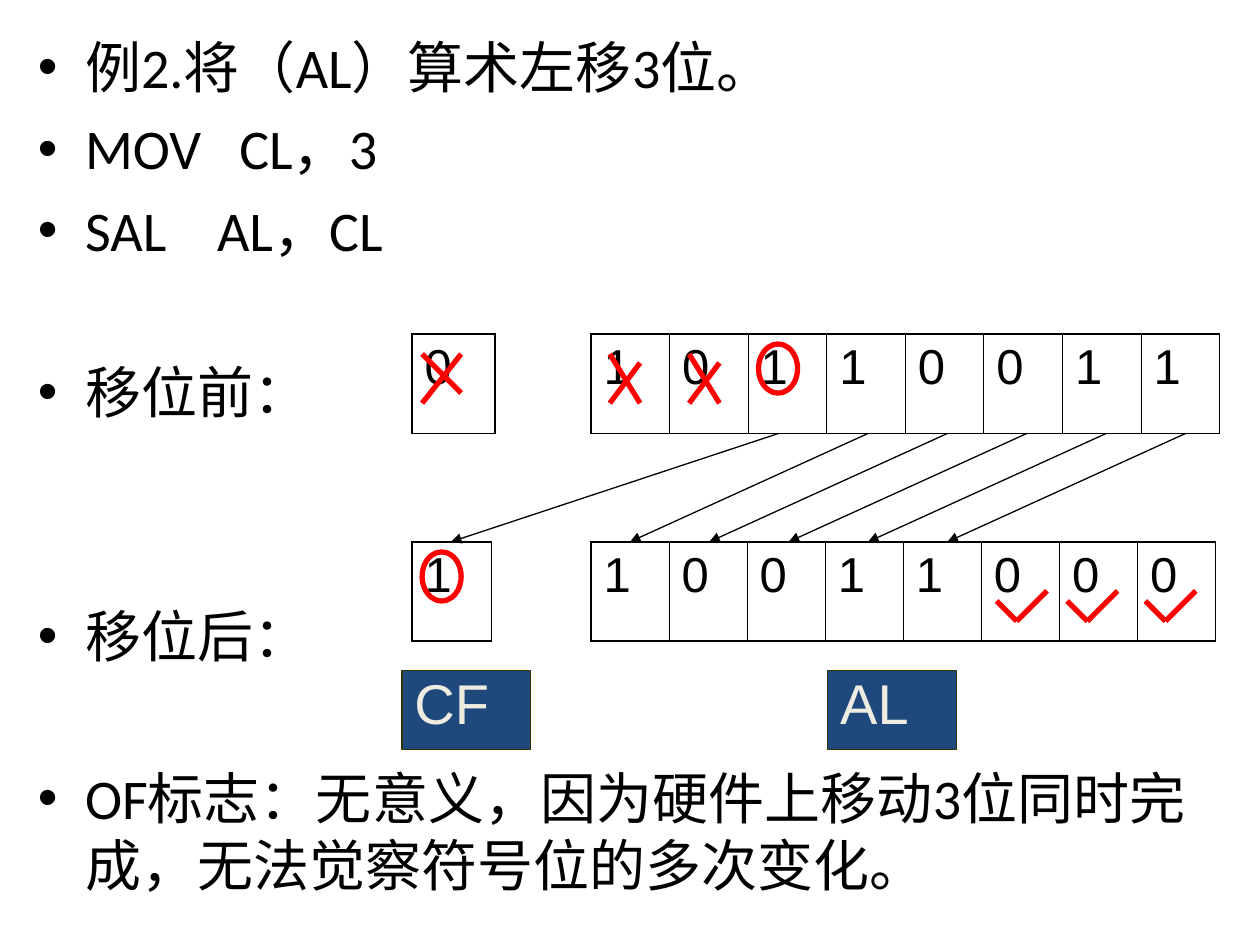
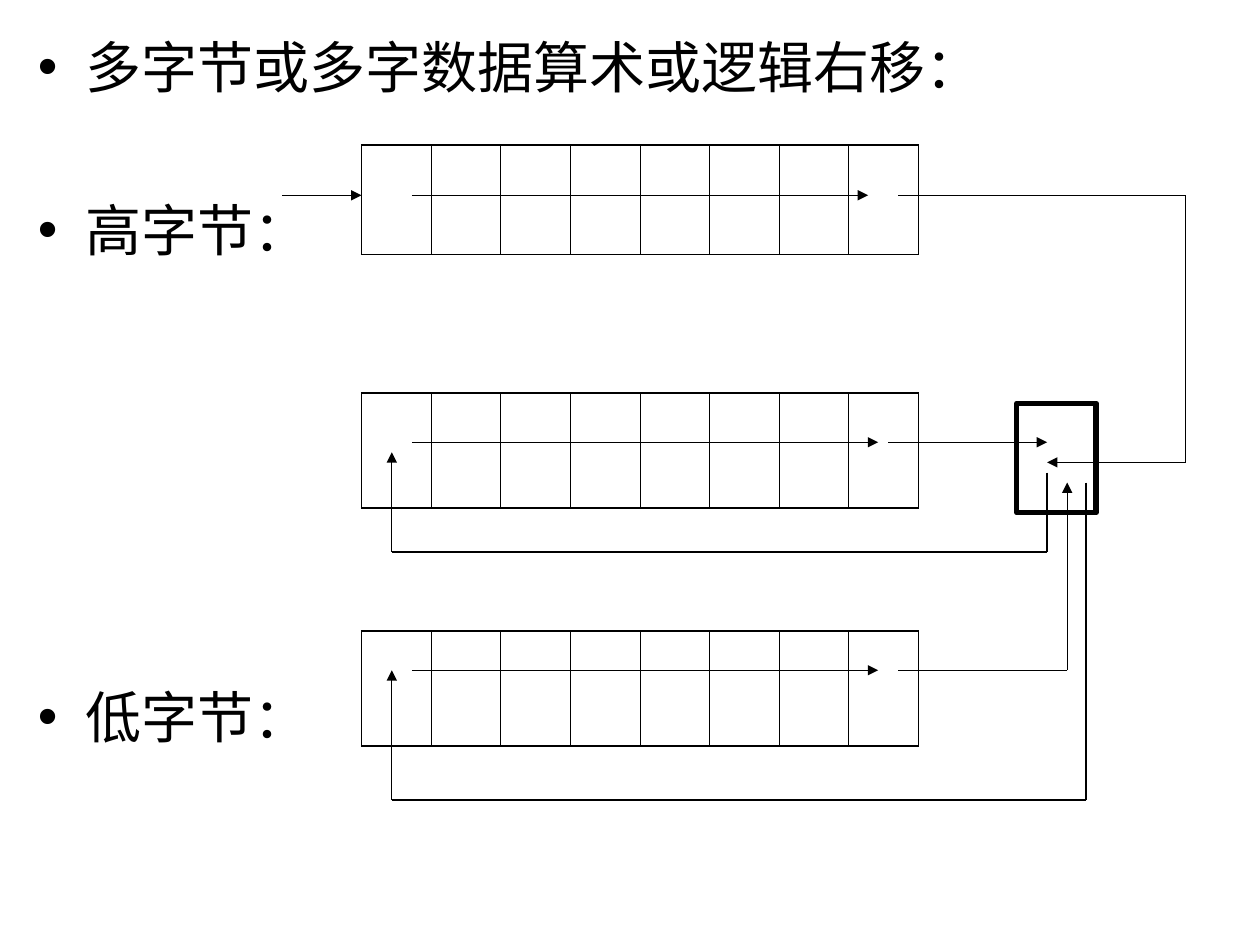
import itertools

import lxml.etree
import pptx
import pptx.dml.color
import pptx.enum.shapes
import pptx.enum.text
import pptx.oxml.ns
import pptx.util

Inches, Pt = pptx.util.Inches, pptx.util.Pt
qn = pptx.oxml.ns.qn
Preset = pptx.enum.shapes.MSO_SHAPE

THEME = {
    "ink": "000000", "mark": "FF0000", "label": "1F497D",
    "label edge": "333300", "label text": "EEECE1",
    "list size": 32, "bit size": 28, "label size": 32, "label font": "Arial",
    "thin": 0.45, "frame": 1.08, "arrow": 0.75, "bold": 3,
}
LIST_BOX = (0.2, 0.21, 9.61, 7.09)
LINE_PITCH, SPACE_BEFORE = 46.4, 8
FRAME_FORMAT = {
    "word_wrap": True,
    "auto_size": pptx.enum.text.MSO_AUTO_SIZE.NONE,
    "vertical_anchor": pptx.enum.text.MSO_ANCHOR.TOP,
    "margin_left": Inches(0.1), "margin_right": Inches(0.1),
    "margin_top": Inches(0.05), "margin_bottom": Inches(0.05),
}

# Slide 1: (words, free lines above, widening of the gap between words)
SHIFT_LIST = [
    (["例2.将（AL）算术左移3位。"], 0, 0),
    (["MOV", "CL，3"], 0, 14.5),
    (["SAL", "AL，CL"], 0, 21.7),
    (["移位前："], 1, 0),
    (["移位后："], 2, 0),
    (["OF标志：无意义，因为硬件上移动3位同时完成，无法觉察符号位的多次变化。"], 1, 0),
]
BEFORE_TOP, AFTER_TOP, BIT_HEIGHT = 2.65, 4.3, 0.79
REGISTERS = [  # bits, left, top, width
    ("10110011", 4.69, BEFORE_TOP, 4.99),
    ("0", 3.27, BEFORE_TOP, 0.66),
    ("1", 3.27, AFTER_TOP, 0.63),
    ("10011000", 4.69, AFTER_TOP, 4.96),
]
LABELS = [("CF", 3.19), ("AL", 6.57)]
BIT_STEP, MOVED_BITS = 0.63, 5
LOST_BITS, FILLED_BITS = [4.84, 5.47], [7.91, 8.47, 9.09]
CARRY_BITS = [(6.02, 2.73), (3.35, 4.38)]
CARRY_CROSS = [[(3.35, 2.81), (3.66, 3.12)], [(3.66, 2.81), (3.35, 3.2)]]

# Slide 2
BYTES_LIST = [
    (["多字节或多字数据算术或逻辑右移："], 0, 0),
    (["高字节："], 1, 0),
    (["低字节："], 5, 0),
]
BYTE_ROWS = [(1.15, 0.87), (3.12, 0.91), (5.01, 0.91)]
CARRY_BOX = (8.07, 3.2, 0.63, 0.87)
SHIFT_ROUTES = [
    [(2.24, 1.55), (2.87, 1.55)],
    [(3.27, 1.55), (6.89, 1.55)],
    [(7.13, 1.55), (9.41, 1.55), (9.41, 3.67), (8.31, 3.67)],
    [(8.31, 3.75), (8.31, 4.38), (3.11, 4.38), (3.11, 3.59)],
    [(3.27, 3.51), (6.97, 3.51)],
    [(7.05, 3.51), (8.31, 3.51)],
    [(8.62, 3.83), (8.62, 6.35), (3.11, 6.35), (3.11, 5.32)],
    [(3.27, 5.32), (6.97, 5.32)],
    [(7.13, 5.32), (8.47, 5.32), (8.47, 3.83)],
]


# Shared formatting
def apply(target, values):
    for name, value in values.items():
        setattr(target, name, value)


def rgb(name):
    return pptx.dml.color.RGBColor.from_string(THEME[name])


def style_font(font, face, size, color):
    apply(font, {"name": face, "size": Pt(THEME[size])})
    font.color.rgb = rgb(color)


def style_line(line, color, weight):
    line.color.rgb = rgb(color)
    line.width = Pt(THEME[weight])


# Parts
def add_list_slide(deck, items, face):
    slide = deck.slides.add_slide(deck.slide_layouts[1])
    title, body = slide.placeholders
    title.element.getparent().remove(title.element)
    apply(body, dict(zip(("left", "top", "width", "height"), map(Inches, LIST_BOX))))
    frame = body.text_frame
    apply(frame, FRAME_FORMAT)
    for index, (words, free_lines, widening) in enumerate(items):
        paragraph = frame.add_paragraph() if index else frame.paragraphs[0]
        paragraph.space_before = Pt(SPACE_BEFORE + free_lines * LINE_PITCH)
        for position, word in enumerate(words):
            if position:
                gap = paragraph.add_run()
                gap.text = " "
                style_font(gap.font, face, "list size", "ink")
                gap.font._element.set("spc", str(round(widening * 100)))
            run = paragraph.add_run()
            run.text = word
            style_font(run.font, face, "list size", "ink")
    return slide


def add_border(cell, side, weight):
    border = lxml.etree.SubElement(cell._tc.get_or_add_tcPr(), qn(f"a:ln{side}"),
                                   w=str(Pt(THEME[weight])))
    fill = lxml.etree.SubElement(border, qn("a:solidFill"))
    lxml.etree.SubElement(fill, qn("a:srgbClr"), val=THEME["ink"])


def add_register(slide, bits, left, top, width, height):
    count = len(bits)
    table = slide.shapes.add_table(1, count, *map(Inches, (left, top, width, height))).table
    apply(table, {"first_row": False, "horz_banding": False})
    for index, bit in enumerate(bits):
        table.columns[index].width = Inches(width / count)
        cell = table.cell(0, index)
        add_border(cell, "L", "thin" if index else "frame")
        add_border(cell, "R", "thin" if index < count - 1 else "frame")
        add_border(cell, "T", "frame")
        add_border(cell, "B", "frame")
        cell.fill.background()
        if bit:
            paragraph = cell.text_frame.paragraphs[0]
            paragraph.space_before = Pt(7)
            run = paragraph.add_run()
            run.text = bit
            style_font(run.font, THEME["label font"], "bit size", "ink")


def add_route(slide, points, color="ink", weight="arrow", arrow=True):
    for start, end in itertools.pairwise(points):
        segment = slide.shapes.add_connector(
            pptx.enum.shapes.MSO_CONNECTOR.STRAIGHT, *map(Inches, start + end))
        style_line(segment.line, color, weight)
        if arrow and end == points[-1]:
            lxml.etree.SubElement(segment.line._get_or_add_ln(), qn("a:tailEnd"),
                                  type="triangle")
        lxml.etree.SubElement(segment._element.spPr, qn("a:effectLst"))


def add_outline(slide, preset, box, color, weight, fill=None):
    shape = slide.shapes.add_shape(preset, *map(Inches, box))
    shape.shadow.inherit = False
    if fill:
        shape.fill.solid()
        shape.fill.fore_color.rgb = rgb(fill)
    else:
        shape.fill.background()
    style_line(shape.line, color, weight)
    return shape


def add_label(slide, name, left):
    label = add_outline(slide, Preset.RECTANGLE, (left, 5.32, 1.02, 0.63),
                        "label edge", "arrow", "label")
    apply(label.text_frame, FRAME_FORMAT)
    paragraph = label.text_frame.paragraphs[0]
    apply(paragraph, {"alignment": pptx.enum.text.PP_ALIGN.LEFT, "line_spacing": 0.9})
    run = paragraph.add_run()
    run.text = name
    style_font(run.font, THEME["label font"], "label size", "label text")


# Slides
def build_left_shift(deck):
    slide = add_list_slide(deck, SHIFT_LIST, "Calibri")
    for bits, left, top, width in REGISTERS:
        add_register(slide, bits, left, top, width, BIT_HEIGHT)
    for name, left in LABELS:
        add_label(slide, name, left)

    # Bits moving into the carry and along the register
    start, end = BEFORE_TOP + BIT_HEIGHT, AFTER_TOP
    add_route(slide, [(6.18, start), (3.58, end)])
    for index in range(MOVED_BITS):
        offset = index * BIT_STEP
        add_route(slide, [(6.89 + offset, start), (5 + offset, end)])

    # Red crosses, ticks and rings
    strokes = list(CARRY_CROSS)
    for x in LOST_BITS:
        strokes += [[(x, 2.81), (x + 0.24, 3.2)], [(x + 0.24, 2.88), (x, 3.2)]]
    for x in FILLED_BITS:
        strokes.append([(x, 4.77), (x + 0.16, 4.93), (x + 0.4, 4.69)])
    for stroke in strokes:
        add_route(slide, stroke, "mark", "bold", arrow=False)
    for left, top in CARRY_BITS:
        add_outline(slide, Preset.OVAL, (left, top, 0.31, 0.39), "mark", "bold")


def build_multibyte_shift(deck):
    slide = add_list_slide(deck, BYTES_LIST, "Arial")
    for top, height in BYTE_ROWS:
        add_register(slide, [""] * 8, 2.87, top, 4.42, height)
    add_outline(slide, Preset.RECTANGLE, CARRY_BOX, "ink", "bold")
    for route in SHIFT_ROUTES:
        add_route(slide, route)


def main():
    deck = pptx.Presentation()
    apply(deck, {"slide_width": Inches(10), "slide_height": Inches(7.5)})
    build_left_shift(deck)
    build_multibyte_shift(deck)
    deck.save("out.pptx")


if __name__ == "__main__":
    main()
